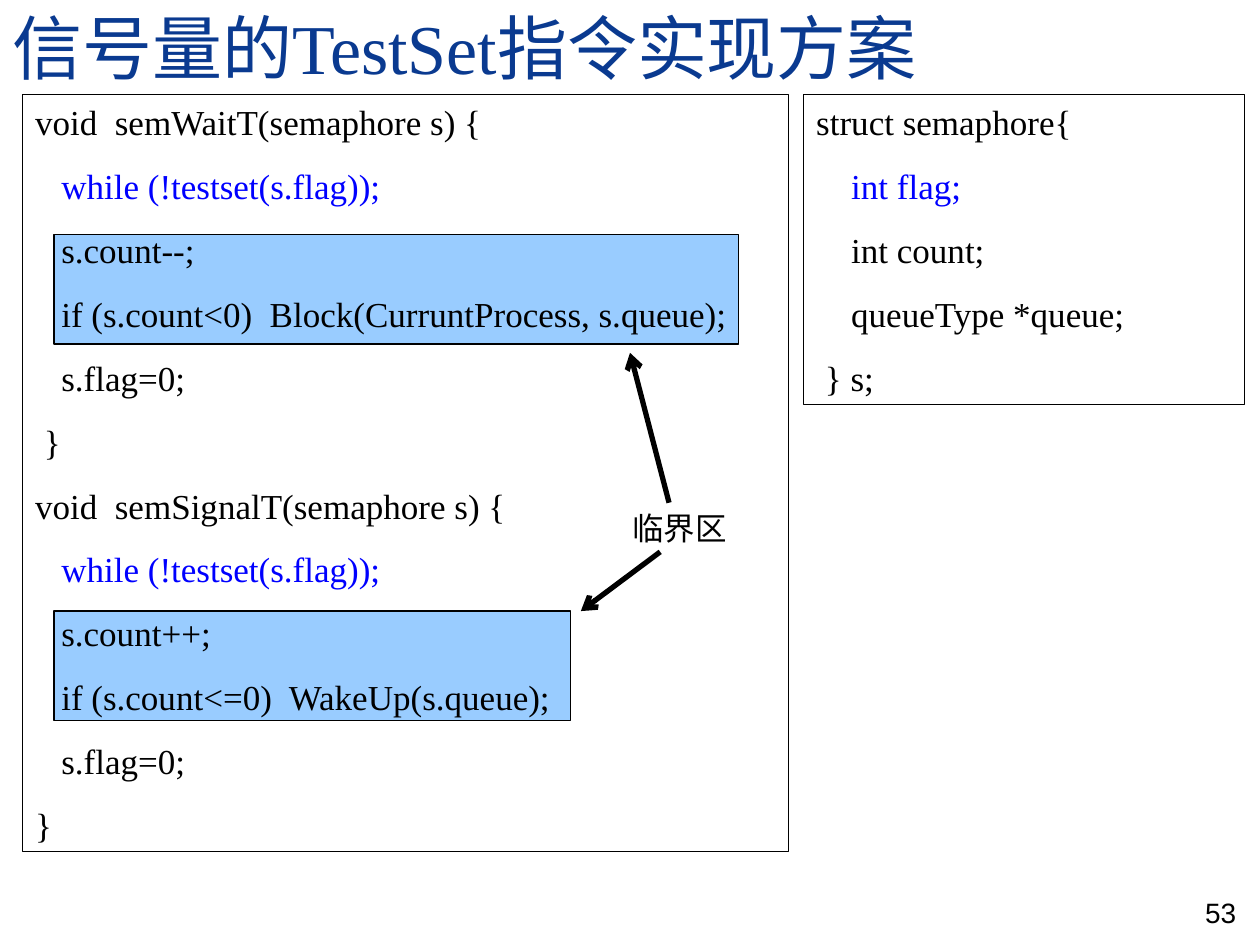
from lxml.etree import SubElement
from pptx import Presentation
from pptx.dml.color import RGBColor
from pptx.enum.shapes import MSO_CONNECTOR as CONN, MSO_SHAPE as SHAPE
from pptx.enum.text import MSO_ANCHOR as ANCHOR, MSO_AUTO_SIZE as AUTO, PP_ALIGN as ALIGN
from pptx.oxml.ns import qn
from pptx.util import Inches, Pt

SERIF, SANS = "Times New Roman", "Arial"
BLACK, BLUE, NAVY, PALE = "000000", "0000FF", "0A3A90", "99CCFF"

SEM_CODE = """void  semWaitT(semaphore s) {
   while (!testset(s.flag));
   s.count--;
   if (s.count<0)  Block(CurruntProcess, s.queue);
   s.flag=0;
 }
void  semSignalT(semaphore s) {
   while (!testset(s.flag));
   s.count++;
   if (s.count<=0)  WakeUp(s.queue);
   s.flag=0;
}"""

STRUCT_CODE = """struct semaphore{
    int flag;
    int count;
    queueType *queue;
 } s;"""


def rgb(value):
    """Turn a hex string into a colour."""
    return RGBColor.from_string(value)


def style(p, size, name, color):
    """Format every run of a paragraph."""
    for r in p.runs:
        r.font.size, r.font.name = Pt(size), name
        r.font.color.rgb = rgb(color)


def add_rect(slide, x, y, w, h, fill=None):
    """Add a thin black rectangle, filled if a colour is given."""
    sp = slide.shapes.add_shape(SHAPE.RECTANGLE, Inches(x), Inches(y), Inches(w), Inches(h))
    sp.shadow.inherit = False
    if fill:
        sp.fill.solid()
        sp.fill.fore_color.rgb = rgb(fill)
    else:
        sp.fill.background()
    sp.line.color.rgb = rgb(BLACK)
    sp.line.width = Pt(0.75)
    return sp


def add_title(slide, x, y, w, h, text):
    """Place the title placeholder."""
    sp = slide.shapes.title
    sp.left, sp.top, sp.width, sp.height = map(Inches, (x, y, w, h))
    tf = sp.text_frame
    tf.text = text
    tf.auto_size, tf.vertical_anchor = AUTO.NONE, ANCHOR.BOTTOM
    p = tf.paragraphs[0]
    p.alignment, p.line_spacing = ALIGN.LEFT, 0.8
    style(p, 40, SERIF, NAVY)


def add_code(slide, x, y, w, h, code, blue_lines):
    """Add a framed listing with some lines in blue."""
    tf = add_rect(slide, x, y, w, h).text_frame
    tf.word_wrap, tf.vertical_anchor = True, ANCHOR.TOP
    for i, line in enumerate(code.split("\n")):
        p = tf.add_paragraph() if i else tf.paragraphs[0]
        p.text, p.alignment = line, ALIGN.LEFT
        if i:
            p.space_before = Pt(12.5)
        style(p, 20, SERIF, BLUE if i in blue_lines else BLACK)


def add_label(slide, x, y, w, h, text, size, align=ALIGN.LEFT, anchor=ANCHOR.TOP):
    """Add a one-line text box."""
    tf = slide.shapes.add_textbox(Inches(x), Inches(y), Inches(w), Inches(h)).text_frame
    tf.word_wrap, tf.vertical_anchor = False, anchor
    tf.text = text
    p = tf.paragraphs[0]
    p.alignment = align
    style(p, size, SANS, BLACK)


def add_arrow(slide, x1, y1, x2, y2):
    """Add a thick line with an open arrowhead at its end."""
    c = slide.shapes.add_connector(CONN.STRAIGHT, Inches(x1), Inches(y1), Inches(x2), Inches(y2))
    c.line.color.rgb = rgb(BLACK)
    c.line.width = Pt(3)
    SubElement(c.line._get_or_add_ln(), qn("a:tailEnd"), type="arrow")
    SubElement(c._element.spPr, qn("a:effectLst"))


def add_semaphore_panel(slide, x, y, w, h):
    """Add the wait and signal listing with its critical sections marked."""
    for dy, width in ((1.11, 5.43), (4.1, 4.1)):
        add_rect(slide, x + 0.25, y + dy, width, 0.87, PALE)
    add_code(slide, x, y, w, h, SEM_CODE, (1, 7))
    add_label(slide, x + 4.74, y + 3.24, 0.95, 0.4, "临界区", 18)
    add_arrow(slide, x + 5.13, y + 3.24, x + 4.82, y + 2.05)
    add_arrow(slide, x + 5.06, y + 3.63, x + 4.43, y + 4.1)


def main():
    """Build and save the slide."""
    prs = Presentation()
    prs.slide_width, prs.slide_height = Inches(10), Inches(7.5)
    slide = prs.slides.add_slide(prs.slide_layouts[5])
    add_title(slide, 0, 0, 10, 0.75, "信号量的TestSet指令实现方案")
    add_semaphore_panel(slide, 0.18, 0.75, 6.08, 6.01)
    add_code(slide, 6.38, 0.75, 3.5, 2.46, STRUCT_CODE, (1,))
    add_label(slide, 8.33, 6.92, 1.58, 0.5, "53", 16, ALIGN.RIGHT, ANCHOR.BOTTOM)
    prs.save("out.pptx")


if __name__ == "__main__":
    main()
